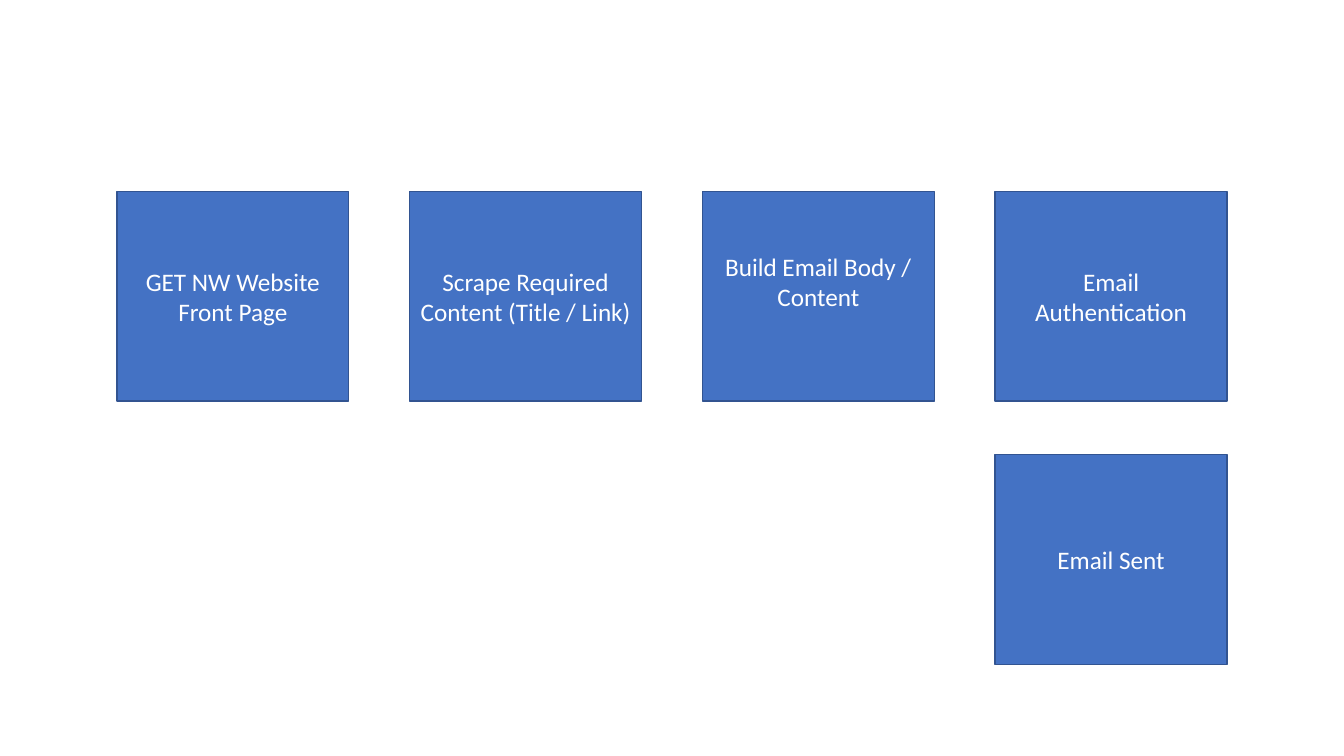
import pptx
import pptx.dml.color
import pptx.enum.shapes
import pptx.enum.text
import pptx.util
from dataclasses import dataclass
from pptx.util import Inches

# Step text, column, row, extra space below the text in inches
STEPS = [
    ("GET NW Website Front Page", 0, 0, 0),
    ("Scrape Required Content (Title / Link)", 1, 0, 0),
    ("Build Email Body / Content", 2, 0, 0.3),
    ("Email Authentication", 3, 0, 0),
    ("Email Sent", 3, 1, 0),
]

FIRST_LEFT, LAST_LEFT, COLUMNS = 1.16, 9.87, 4
FIRST_TOP, ROW_PITCH = 1.9, 2.61
BOX_WIDTH, BOX_HEIGHT = 2.3, 2.08
BOTTOM_INSET = 0.05


@dataclass(frozen=True)
class Theme:
    fill: str = "4472C4"
    outline: str = "325491"
    text: str = "FFFFFF"
    font: str = "Calibri"
    text_size: int = 18
    outline_width: int = 1


THEME = Theme()


def rgb(value):
    return pptx.dml.color.RGBColor.from_string(value)


def add_step(slide, label, column, row, space_below):
    column_pitch = (LAST_LEFT - FIRST_LEFT) / (COLUMNS - 1)
    step = slide.shapes.add_shape(
        pptx.enum.shapes.MSO_SHAPE.RECTANGLE,
        Inches(FIRST_LEFT + column * column_pitch),
        Inches(FIRST_TOP + row * ROW_PITCH),
        Inches(BOX_WIDTH),
        Inches(BOX_HEIGHT),
    )
    step.shadow.inherit = False
    step.fill.solid()
    step.fill.fore_color.rgb = rgb(THEME.fill)
    step.line.color.rgb = rgb(THEME.outline)
    step.line.width = pptx.util.Pt(THEME.outline_width)

    frame = step.text_frame
    frame.text = label
    frame.word_wrap = True
    frame.vertical_anchor = pptx.enum.text.MSO_ANCHOR.MIDDLE
    frame.margin_bottom = Inches(BOTTOM_INSET + space_below)
    paragraph = frame.paragraphs[0]
    paragraph.alignment = pptx.enum.text.PP_ALIGN.CENTER
    font = paragraph.runs[0].font
    font.name = THEME.font
    font.size = pptx.util.Pt(THEME.text_size)
    font.color.rgb = rgb(THEME.text)


def main():
    deck = pptx.Presentation()
    deck.slide_width, deck.slide_height = Inches(13.33), Inches(7.5)
    slide = deck.slides.add_slide(deck.slide_layouts.get_by_name("Blank"))
    for step in STEPS:
        add_step(slide, *step)
    deck.save("out.pptx")


if __name__ == "__main__":
    main()
